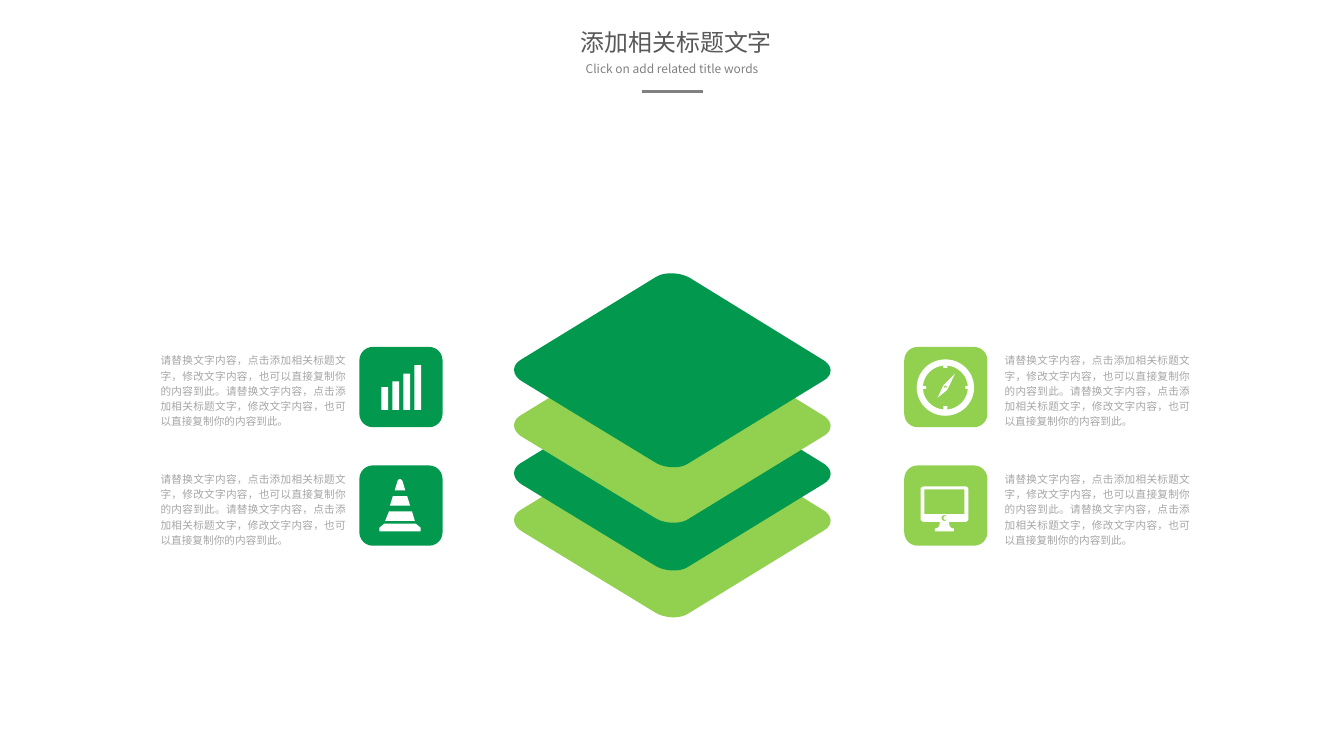
from math import cos, pi, sin

from lxml.etree import SubElement
from pptx import Presentation
from pptx.dml.color import RGBColor
from pptx.enum.shapes import MSO_CONNECTOR as Connector, MSO_SHAPE as Shape
from pptx.enum.text import MSO_ANCHOR as Anchor, MSO_AUTO_SIZE as AutoSize, PP_ALIGN as Align
from pptx.oxml.ns import qn
from pptx.util import Inches, Pt

GREEN = RGBColor(0x02, 0x99, 0x4F)
LIME = RGBColor(0x92, 0xD0, 0x50)
WHITE = RGBColor(0xFF, 0xFF, 0xFF)
DARK_GRAY = RGBColor(0x59, 0x59, 0x59)
GRAY = RGBColor(0x80, 0x80, 0x80)
PALE_GRAY = RGBColor(0xA6, 0xA6, 0xA6)
CJK_FONT = "Noto Sans CJK SC"
BODY = "请替换文字内容，点击添加相关标题文字，修改文字内容，也可以直接复制你的内容到此。" * 2

TITLE_STYLE = {"name": CJK_FONT, "size": Pt(18), "bold": False}
SUBTITLE_STYLE = {"name": CJK_FONT, "size": Pt(9)}
BODY_STYLE = {"name": "Arial", "size": Pt(8)}

LAYER = [
    (0.09, 0.93), (1.51, 0.06), (1.6, 0, 1.77, 0.01, 1.87, 0.07),
    (3.25, 0.92), (3.36, 0.98, 3.37, 1.08, 3.27, 1.14),
    (1.85, 2.01), (1.76, 2.07, 1.59, 2.06, 1.49, 1.99),
    (0.11, 1.15), (0.01, 1.09, 0, 0.99, 0.09, 0.93),
]
NEEDLE = [(0.05, 0.14), (0, 0.25), (0.1, 0.17), (0.11, 0.15), (0.18, 0), (0.06, 0.12)]
MONITOR = [
    (0.47, 0), (0.04, 0), (0.02, 0, 0, 0.01, 0, 0.03),
    (0, 0.34), (0, 0.36, 0.02, 0.37, 0.04, 0.37),
    (0.2, 0.37), (0.2, 0.37, 0.21, 0.44, 0.15, 0.44),
    (0.15, 0.47), (0.35, 0.47), (0.35, 0.44), (0.29, 0.44, 0.3, 0.37, 0.3, 0.37),
    (0.47, 0.37), (0.48, 0.37, 0.5, 0.36, 0.5, 0.34),
    (0.5, 0.03), (0.5, 0.01, 0.48, 0, 0.47, 0),
]
SCREEN = [(0.46, 0.29), (0.04, 0.29), (0.04, 0.03), (0.46, 0.03)]
CONE = [
    [(0.43, 0.57), (0, 0.57), (0, 0.53), (0.05, 0.49), (0.38, 0.49), (0.43, 0.53)],
    [(0.06, 0.46), (0.1, 0.36), (0.34, 0.36), (0.37, 0.46)],
    [(0.11, 0.3), (0.14, 0.2), (0.29, 0.2), (0.32, 0.3)],
    [(0.16, 0.14), (0.19, 0.04), (0.19, 0.04, 0.21, 0, 0.24, 0.04), (0.27, 0.14)],
]


def paint(shape, color):
    shape.shadow.inherit = False
    shape.fill.solid()
    shape.fill.fore_color.rgb = color
    shape.line.fill.background()


def add_block(page, kind, left, top, width, height, color):
    shape = page.shapes.add_shape(kind, *map(Inches, (left, top, width, height)))
    paint(shape, color)
    return shape


def circle(x, y, radius, steps=24):
    angles = [2 * pi * i / steps for i in range(steps)]
    return [(x + radius * cos(a), y + radius * sin(a)) for a in angles]


def flatten(steps, pieces=10):
    points = []
    for step in steps:
        if len(step) == 2:
            points.append(step)
            continue
        controls = [points[-1], step[:2], step[2:4], step[4:]]
        for t in (i / pieces for i in range(1, pieces + 1)):
            weights = ((1 - t) ** 3, 3 * t * (1 - t) ** 2, 3 * t * t * (1 - t), t ** 3)
            points.append(tuple(sum(w * c[axis] for w, c in zip(weights, controls))
                                for axis in (0, 1)))
    return points


def add_outline(page, left, top, contours, color):
    builder = None
    for contour in contours:
        points = [(Inches(left + x), Inches(top + y)) for x, y in flatten(contour)]
        if builder is None:
            builder = page.shapes.build_freeform(*points[0])
        else:
            builder.move_to(*points[0])
        builder.add_line_segments(points[1:], close=True)
    paint(builder.convert_to_shape(), color)


def write_text(box, text, style, color, align, margins=(0, 0), spacing=1.0):
    frame = box.text_frame
    across, down = map(Inches, margins)
    layout = {"word_wrap": True, "auto_size": AutoSize.NONE, "vertical_anchor": Anchor.TOP,
              "margin_left": across, "margin_right": across,
              "margin_top": down, "margin_bottom": down}
    for name, value in layout.items():
        setattr(frame, name, value)
    para = frame.paragraphs[0]
    para.alignment, para.line_spacing = align, spacing
    span = para.add_run()
    span.text = text
    for name, value in style.items():
        setattr(span.font, name, value)
    span.font.color.rgb = color
    SubElement(span.font._element, qn("a:ea"), typeface=CJK_FONT)


def add_heading(page, left, top):
    title = page.shapes.title
    place = {"left": left, "top": top, "width": 2.45, "height": 0.4}
    for name, value in place.items():
        setattr(title, name, Inches(value))
    write_text(title, "添加相关标题文字", TITLE_STYLE, DARK_GRAY, Align.CENTER, (0.07, 0.04))
    subtitle = page.shapes.add_textbox(*map(Inches, (left, top + 0.35, 2.36, 0.23)))
    write_text(subtitle, "Click on add related title words", SUBTITLE_STYLE, GRAY,
               Align.CENTER, (0.07, 0.04))
    ends = (left + 0.87, top + 0.71, left + 1.5, top + 0.71)
    rule = page.shapes.add_connector(Connector.STRAIGHT, *map(Inches, ends))
    rule.line.color.rgb = GRAY
    rule.line.width = Pt(2.25)
    SubElement(rule._element.spPr, qn("a:effectLst"))


def add_layers(page, left, top):
    for offset, color in ((1.57, LIME), (1.08, GREEN), (0.58, LIME), (0, GREEN)):
        add_outline(page, left, top + offset, [LAYER], color)


def add_bars_icon(page, left, top):
    for i, height in enumerate((0.24, 0.3, 0.38, 0.47)):
        add_block(page, Shape.RECTANGLE, left + 0.23 + i * 0.115, top + 0.66 - height,
                  0.07, height, WHITE)


def add_cone_icon(page, left, top):
    add_outline(page, left + 0.21, top + 0.12, CONE, WHITE)


def add_compass_icon(page, left, top):
    ring = add_block(page, Shape.DONUT, left + 0.13, top + 0.13, 0.6, 0.59, WHITE)
    ring.adjustments[0] = 0.11
    for x, y, width, height in ((0.41, 0.18, 0.04, 0.04), (0.41, 0.62, 0.04, 0.04),
                                (0.19, 0.41, 0.04, 0.03), (0.64, 0.41, 0.04, 0.03)):
        add_block(page, Shape.RECTANGLE, left + x, top + y, width, height, WHITE)
    add_outline(page, left + 0.35, top + 0.28, [NEEDLE, circle(0.08, 0.14, 0.015)], WHITE)
    add_block(page, Shape.OVAL, left + 0.42, top + 0.42, 0.02, 0.02, WHITE)


def add_monitor_icon(page, left, top):
    add_outline(page, left + 0.17, top + 0.22,
                [MONITOR, SCREEN, circle(0.25, 0.33, 0.03)], WHITE)
    add_block(page, Shape.OVAL, left + 0.41, top + 0.53, 0.04, 0.04, WHITE)


def add_column(page, tile_left, text_left, top, color, icons):
    for row, add_icon in enumerate(icons):
        y = top + row * 1.24
        box = page.shapes.add_textbox(*map(Inches, (text_left, y + 0.05, 1.94, 0.81)))
        write_text(box, BODY, BODY_STYLE, PALE_GRAY, Align.JUSTIFY, spacing=1.2)
        add_block(page, Shape.ROUNDED_RECTANGLE, tile_left, y, 0.87, 0.84, color)
        add_icon(page, tile_left, y)


def main():
    deck = Presentation()
    deck.slide_width, deck.slide_height = Inches(14.06), Inches(7.91)
    page = deck.slides.add_slide(deck.slide_layouts[5])
    add_heading(page, 5.85, 0.25)
    add_layers(page, 5.35, 2.84)
    add_column(page, 3.76, 1.68, 3.63, GREEN, (add_bars_icon, add_cone_icon))
    add_column(page, 9.46, 10.51, 3.63, LIME, (add_compass_icon, add_monitor_icon))
    deck.save("out.pptx")


if __name__ == "__main__":
    main()
